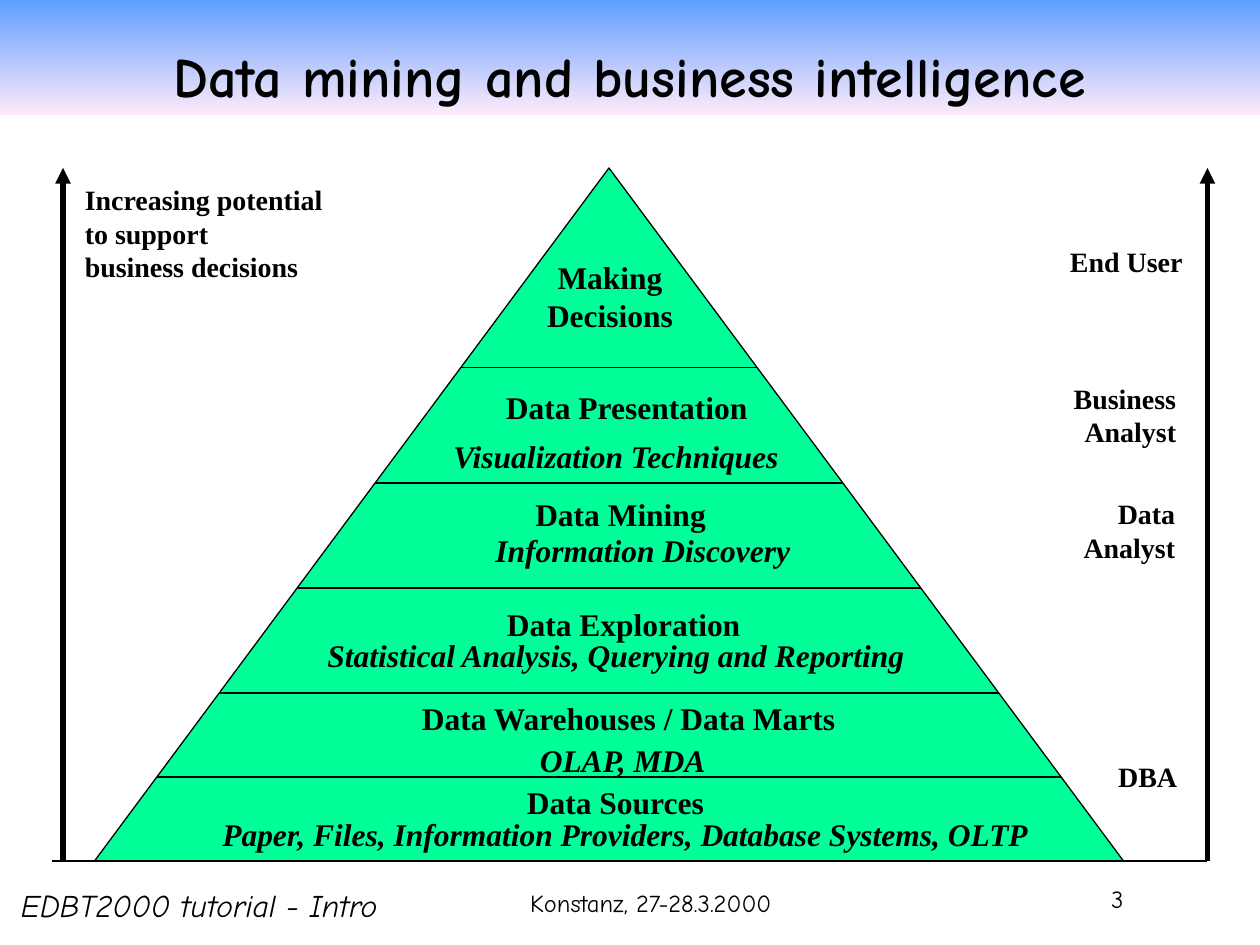
from collections import namedtuple

from lxml import etree
from pptx import Presentation
from pptx.dml.color import RGBColor
from pptx.enum.shapes import MSO_CONNECTOR, MSO_SHAPE
from pptx.enum.text import MSO_ANCHOR, MSO_AUTO_SIZE, PP_ALIGN
from pptx.oxml.ns import qn
from pptx.util import Inches, Pt

LEFT, CENTER, RIGHT = PP_ALIGN.LEFT, PP_ALIGN.CENTER, PP_ALIGN.RIGHT
TOP, BOTTOM = MSO_ANCHOR.TOP, MSO_ANCHOR.BOTTOM
FIT_SHAPE, NO_FIT = MSO_AUTO_SIZE.SHAPE_TO_FIT_TEXT, MSO_AUTO_SIZE.NONE
TRIANGLE, STRAIGHT = MSO_SHAPE.FLOWCHART_EXTRACT, MSO_CONNECTOR.STRAIGHT
SERIF, HAND = "Times New Roman", "Comic Neue"
BLACK, GREEN = "000000", "00FF99"
SKY, BLUSH = "5E9EFF", "FFEBFA"
UNIT = Inches(10) / 120
LINE_ROWS = 4.8

Box = namedtuple("Box", "left top width height")

BOUNDARIES = [19, 30, 40, 50, 58]
LEVELS = [
    (41.8, 8, 14.6, ["Making", "Decisions"], False, CENTER),
    (38, 20.4, 25.6, ["Data Presentation"], False, LEFT),
    (33, 25, 34, ["Visualization Techniques"], True, LEFT),
    (40.8, 30.6, 19.2, ["Data Mining"], False, LEFT),
    (37, 34, 30.8, ["Information Discovery"], True, LEFT),
    (38, 41, 24.8, ["Data Exploration"], False, CENTER),
    (40.9, 54, 18.8, ["OLAP, MDA"], True, CENTER),
    (21, 44, 57.7, ["Statistical Analysis, Querying and Reporting"], True, LEFT),
    (30, 50, 42.2, ["Data Warehouses / Data Marts"], False, LEFT),
    (40, 58, 19.6, ["Data Sources"], False, LEFT),
    (11, 61, 79.5,
     ["Paper, Files, Information Providers, Database Systems, OLTP"], True, LEFT),
]
ROLES = [
    (0.6, 6.7, 13.2, ["End User"]),
    (0.5, 19.7, 12.7, ["Business", "Analyst"]),
    (1.7, 30.7, 11.4, ["Data", "Analyst"]),
    (5.1, 55.7, 8.2, ["DBA"]),
]


def grid(*counts):
    """Turn counts of columns or rows into lengths."""
    return [int(count * UNIT) for count in counts]


def rgb(code):
    """Turn a hex string into a colour."""
    return RGBColor.from_string(code)


def write(frame, lines, size, font, align, bold=False, italic=False):
    """Write one paragraph for each line."""
    for index, line in enumerate(lines):
        paragraph = frame.add_paragraph() if index else frame.paragraphs[0]
        paragraph.alignment = align
        run = paragraph.add_run()
        run.text = line
        run.font.size = Pt(size)
        run.font.name = font
        run.font.bold = bold
        run.font.italic = italic
        run.font.color.rgb = rgb(BLACK)


def add_label(slide, box, lines, size, align, italic=False):
    """Add a bold unwrapped label that fits its text."""
    frame = slide.shapes.add_textbox(*grid(*box)).text_frame
    frame.word_wrap = False
    frame.auto_size = FIT_SHAPE
    frame.vertical_anchor = TOP
    write(frame, lines, size, SERIF, align, True, italic)


def add_line(slide, start, end, weight=0.75, arrow=False):
    """Draw a straight black line between two grid points."""
    line = slide.shapes.add_connector(STRAIGHT, *grid(*start, *end))
    line.line.color.rgb = rgb(BLACK)
    line.line.width = Pt(weight)
    if arrow:
        etree.SubElement(line.line._get_or_add_ln(), qn("a:tailEnd"), type="triangle")
    etree.SubElement(line._element.spPr, qn("a:effectLst"))


def build_title(slide, box):
    """Place the title on its gradient band."""
    title = slide.shapes.title
    title.left, title.top, title.width, title.height = grid(*box)
    title.fill.gradient()
    title.fill.gradient_angle = 270
    for stop, code in zip(title.fill.gradient_stops, (SKY, BLUSH)):
        stop.color.rgb = rgb(code)
    title.text_frame.auto_size = NO_FIT
    title.text_frame.vertical_anchor = BOTTOM
    write(title.text_frame, ["Data mining and business intelligence"],
          32, HAND, CENTER, bold=True)


def build_pyramid(slide, box):
    """Draw the pyramid, its level boundaries and its labels."""
    pyramid = slide.shapes.add_shape(TRIANGLE, *grid(*box))
    pyramid.shadow.inherit = False
    pyramid.fill.solid()
    pyramid.fill.fore_color.rgb = rgb(GREEN)
    pyramid.line.color.rgb = rgb(BLACK)
    pyramid.line.width = Pt(0.75)
    middle = box.left + box.width / 2
    for row in BOUNDARIES:
        half = box.width / 2 * row / box.height
        add_line(slide, (middle - half, box.top + row), (middle + half, box.top + row))
    for left, top, width, lines, italic, align in LEVELS:
        place = Box(box.left + left, box.top + top, width, LINE_ROWS * len(lines))
        add_label(slide, place, lines, 18, align, italic)


def build_axes(slide, box):
    """Draw the two rising arrows and the baseline."""
    bottom, right = box.top + box.height, box.left + box.width
    for column in (box.left, right):
        add_line(slide, (column, bottom), (column, box.top), 3, arrow=True)
    add_line(slide, (box.left - 1, bottom), (right, bottom))


def build_potential(slide, box):
    """Name what the left arrow measures."""
    add_label(slide, box, ["Increasing potential", "to support", "business decisions"],
              16, LEFT)


def build_roles(slide, box):
    """List the users beside the right arrow."""
    for left, top, width, lines in ROLES:
        place = Box(box.left + left, box.top + top, width, 1.2 + 3.2 * len(lines))
        add_label(slide, place, lines, 16, RIGHT)


def build_footer(slide, box):
    """Place the date, the tutorial name and the page number."""
    parts = [
        ("Konstanz, 27-28.3.2000", 40, 1, 40, 14, CENTER, (0.1, 0.1, 0.05), False),
        ("EDBT2000 tutorial - Intro", 0, 1, 44, 18, LEFT, (0, 0.1, 0), True),
        ("3", 91, 0, 14, 14, RIGHT, (0.1, 0, 0), False),
    ]
    for text, left, top, width, size, align, insets, italic in parts:
        place = Box(box.left + left, box.top + top, width, box.height - 1)
        frame = slide.shapes.add_textbox(*grid(*place)).text_frame
        frame.word_wrap = True
        frame.vertical_anchor = BOTTOM
        frame.margin_left, frame.margin_right, frame.margin_bottom = map(Inches, insets)
        write(frame, [text], size, HAND, align, italic=italic)


def main():
    """Build the slide and save it."""
    deck = Presentation()
    deck.slide_width, deck.slide_height = grid(120, 90)
    slide = deck.slides.add_slide(deck.slide_layouts[5])
    build_title(slide, Box(0, 0, 120, 11))
    build_pyramid(slide, Box(9, 16, 98, 66))
    build_axes(slide, Box(6, 16, 109, 66))
    build_potential(slide, Box(6.9, 16.8, 25.2, 10.8))
    build_roles(slide, Box(100, 16, 14, 66))
    build_footer(slide, Box(2, 81, 105, 7))
    deck.save("out.pptx")


if __name__ == "__main__":
    main()
